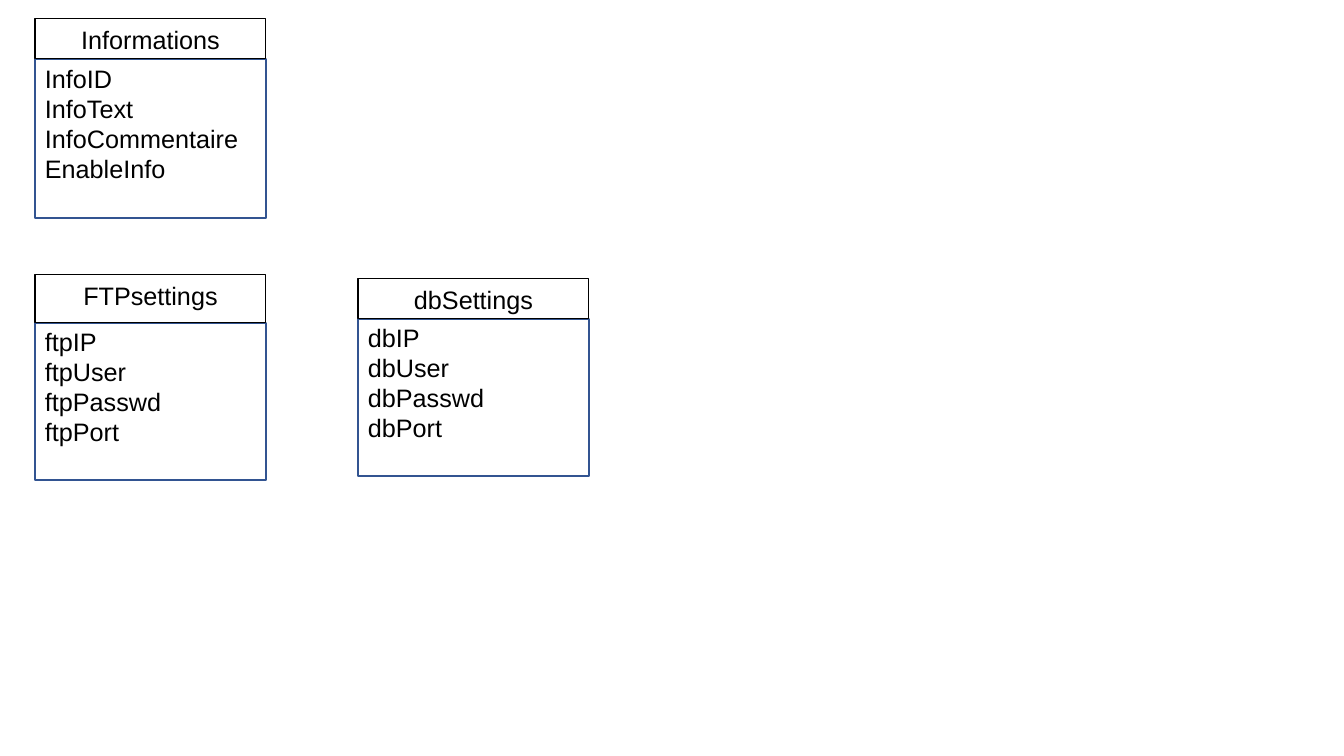
"""Build a slide showing three database tables as titled field boxes."""
import pptx
import pptx.util
import pptx.dml.color
import pptx.enum.shapes
import pptx.enum.text

TABLES = [
    {"title": "Informations", "at": (35, 19), "header": 40, "body": 159,
     "fields": ["InfoID", "InfoText", "InfoCommentaire", "EnableInfo"]},
    {"title": "FTPsettings", "at": (35, 275), "header": 48, "body": 157,
     "fields": ["ftpIP", "ftpUser", "ftpPasswd", "ftpPort"]},
    {"title": "dbSettings", "at": (358, 279), "header": 40, "body": 157,
     "fields": ["dbIP", "dbUser", "dbPasswd", "dbPort"]},
]
THEME = {"font": "Arial", "size": 18, "text": "000000",
         "header_line": ("000000", 0.75), "body_line": ("325491", 1)}
SLIDE_WIDTH, SLIDE_HEIGHT = 1344, 756
TABLE_WIDTH = 231
INSET, FREE_LINE = 5, 30
ALIGN = pptx.enum.text.PP_ALIGN
ANCHOR = pptx.enum.text.MSO_ANCHOR


def px(length):
    """Turn pixels into EMU."""
    return pptx.util.Emu(round(length * 914400 / 100.8))


def color(code):
    """Return the colour of a hex code."""
    return pptx.dml.color.RGBColor.from_string(code)


def add_box(group, left, top, height, outline, lines, align, anchor):
    """Add one outlined rectangle with a paragraph per line."""
    box = group.shapes.add_shape(pptx.enum.shapes.MSO_SHAPE.RECTANGLE,
                                 px(left), px(top), px(TABLE_WIDTH), px(height))
    box.shadow.inherit = False
    box.fill.background()
    line_color, line_width = outline
    box.line.color.rgb = color(line_color)
    box.line.width = pptx.util.Pt(line_width)
    frame = box.text_frame
    frame.word_wrap = True
    frame.vertical_anchor = anchor
    frame.text = "\n".join(lines)
    for paragraph in frame.paragraphs:
        paragraph.alignment = align
        paragraph.font.name = THEME["font"]
        paragraph.font.size = pptx.util.Pt(THEME["size"])
        paragraph.font.color.rgb = color(THEME["text"])
    return frame


presentation = pptx.Presentation()
presentation.slide_width = px(SLIDE_WIDTH)
presentation.slide_height = px(SLIDE_HEIGHT)
slide = presentation.slides.add_slide(presentation.slide_layouts[6])

for table in TABLES:
    left, top = table["at"]
    group = slide.shapes.add_group_shape()
    fields = add_box(group, left, top + table["header"], table["body"],
                     THEME["body_line"], table["fields"], ALIGN.LEFT, ANCHOR.MIDDLE)
    fields.margin_bottom = px(INSET + FREE_LINE)
    title = add_box(group, left, top, table["header"],
                    THEME["header_line"], [table["title"]], ALIGN.CENTER, ANCHOR.TOP)
    title.auto_size = pptx.enum.text.MSO_AUTO_SIZE.SHAPE_TO_FIT_TEXT

presentation.save("out.pptx")
